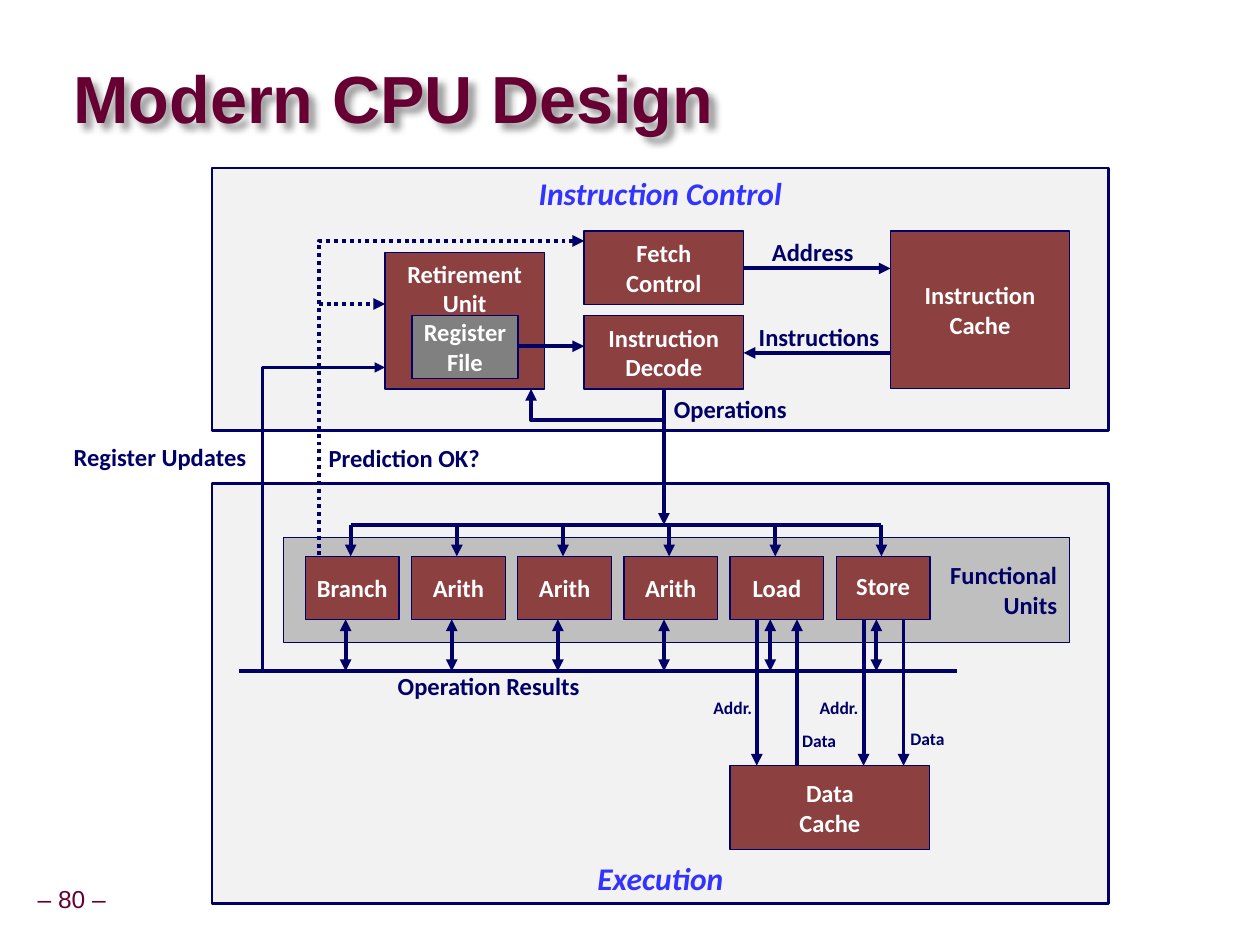
import pptx
import pptx.util
import pptx.dml.color
import pptx.enum.dml
import pptx.enum.shapes
import pptx.enum.text
import pptx.oxml
import pptx.oxml.ns
from lxml import etree

Pt = pptx.util.Pt
ALIGN = pptx.enum.text.PP_ALIGN
ANCHOR = pptx.enum.text.MSO_ANCHOR
RECT = pptx.enum.shapes.MSO_SHAPE.RECTANGLE
STRAIGHT = pptx.enum.shapes.MSO_CONNECTOR.STRAIGHT
DOTS = pptx.enum.dml.MSO_LINE.ROUND_DOT
A = pptx.oxml.ns.nsdecls("a")
COLORS = {
    "navy": "000066", "maroon": "660033", "brick": "8C4040", "blue": "3333FF",
    "panel": "F2F2F2", "silver": "BFBFBF", "gray": "808080", "white": "FFFFFF",
}


def color(name):
    return pptx.dml.color.RGBColor.from_string(COLORS[name])


class Diagram:
    """Draws styled elements on one slide; all lengths are in points."""

    def __init__(self, s):
        self.s = s

    def add_text(self, sp, text, size, ink, align=ALIGN.CENTER, anchor=ANCHOR.MIDDLE,
                 font="Calibri", bold=True, italic=False, spacing=None, inset=(7.2, 3.6)):
        tf = sp.text_frame
        tf.word_wrap = False
        tf.vertical_anchor = anchor
        tf.margin_left = tf.margin_right = Pt(inset[0])
        tf.margin_top = tf.margin_bottom = Pt(inset[1])
        for i, line in enumerate(text.split("\n")):
            p = tf.paragraphs[0] if i == 0 else tf.add_paragraph()
            p.alignment = align
            if spacing:
                p.line_spacing = spacing
            r = p.add_run()
            r.text = line
            r.font.name, r.font.size = font, Pt(size)
            r.font.bold, r.font.italic = bold, italic
            r.font.color.rgb = color(ink)

    def box(self, x, y, w, h, text, fill="brick", ink="white", size=14, width=0.75, **style):
        sp = self.s.shapes.add_shape(RECT, Pt(x), Pt(y), Pt(w), Pt(h))
        sp.shadow.inherit = False
        sp.fill.solid()
        sp.fill.fore_color.rgb = color(fill)
        self.stroke(sp, width)
        self.add_text(sp, text, size, ink, **style)

    def label(self, x, y, w, h, text, size=14, ink="navy", anchor=ANCHOR.TOP, **style):
        sp = self.s.shapes.add_textbox(Pt(x), Pt(y), Pt(w), Pt(h))
        self.add_text(sp, text, size, ink, anchor=anchor, **style)
        return sp

    def stroke(self, sp, width, head=False, tail=False, dotted=False):
        sp.line.color.rgb = color("navy")
        sp.line.width = Pt(width)
        if dotted:
            sp.line.dash_style = DOTS
        ln = sp._element.spPr.find(pptx.oxml.ns.qn("a:ln"))
        for end, wanted in (("headEnd", head), ("tailEnd", tail)):
            if wanted:
                ln.append(pptx.oxml.parse_xml(f'<a:{end} {A} type="triangle"/>'))

    def line(self, x1, y1, x2, y2, tail=True, **ends):
        sp = self.s.shapes.add_connector(STRAIGHT, Pt(x1), Pt(y1), Pt(x2), Pt(y2))
        self.stroke(sp, 2.25, tail=tail, **ends)
        etree.SubElement(sp._element.spPr, pptx.oxml.ns.qn("a:effectLst"))

    def elbow(self, points, width=2.25, **ends):
        pts = [(Pt(x), Pt(y)) for x, y in points]
        builder = self.s.shapes.build_freeform(*pts[0], scale=1.0)
        builder.add_line_segments(pts[1:], close=False)
        sp = builder.convert_to_shape()
        sp.shadow.inherit = False
        sp.fill.background()
        self.stroke(sp, width, **ends)

    def shade(self, sp):
        sp._element.spPr.append(pptx.oxml.parse_xml(
            f'<a:effectLst {A}><a:outerShdw blurRad="50800" dist="53900" dir="2700000">'
            '<a:srgbClr val="000000"><a:alpha val="40000"/></a:srgbClr>'
            '</a:outerShdw></a:effectLst>'))


def main():
    prs = pptx.Presentation()
    prs.slide_width, prs.slide_height = Pt(719.28), Pt(539.28)
    d = Diagram(prs.slides.add_slide(prs.slide_layouts[6]))

    # Title and page number
    title = d.label(41.8, 36, 460.8, 45.4, "Modern CPU Design", 38, "maroon", ANCHOR.MIDDLE,
                    align=ALIGN.LEFT, font="Arial", spacing=0.87, inset=(0, 0))
    d.shade(title)
    d.label(16.5, 502.5, 49, 23, "– 80 –", 14, "maroon", ANCHOR.MIDDLE,
            font="Arial", bold=False, spacing=0.9, inset=(3.6, 3.6))

    # Panels
    for y, h, name, anchor in ((275.8, 239.8, "Execution", ANCHOR.BOTTOM),
                               (95.8, 149.8, "Instruction Control", ANCHOR.TOP)):
        d.box(121, y, 512, h, name, "panel", "blue", 18, 1.5, anchor=anchor, italic=True)
    d.box(162, 306.7, 448.6, 59.8, "Functional\nUnits", "silver", "navy", align=ALIGN.RIGHT)

    # Instruction control blocks
    decode_x, cache_x, block_w = 333.5, 508.4, 91
    decode_right = decode_x + block_w
    d.box(cache_x, 131.8, 102.2, 90, "Instruction\nCache")
    d.box(decode_x, 131.8, block_w, 42, "Fetch\nControl")
    d.box(decode_x, 180, block_w, 42, "Instruction\nDecode")
    d.box(219.8, 144, block_w, 78, "Retirement\nUnit", anchor=ANCHOR.TOP)
    d.box(235.2, 180, 60.6, 36, "Register\nFile", "gray")

    # Functional units with operation and result arrows
    unit_x, pitch, unit_top, unit_bottom = 174.4, 60.6, 317.5, 353.5
    bus_y, results_y = 299.5, 383
    units = ["Branch", "Arith", "Arith", "Arith", "Load", "Store"]
    for i, unit in enumerate(units):
        x = unit_x + i * pitch
        d.box(x, unit_top, 53.5, 36, unit, spacing=0.9 if unit == "Store" else None)
        d.line(x + 25.8, bus_y, x + 25.8, unit_top)
        d.line(x + 22.9, unit_bottom, x + 22.9, results_y, head=True)
    d.line(unit_x + 25.8, bus_y, unit_x + 25.8 + 5 * pitch, bus_y, tail=False)
    d.line(136.6, results_y, 546.2, results_y, tail=False)

    # Data cache and its memory paths
    cache_top = 437
    d.box(416.8, cache_top, 114, 48, "Data\nCache")
    for x in (432, 493, 515.8):
        d.line(x, unit_bottom, x, cache_top)
    d.line(455, cache_top, 455, unit_bottom)

    # Paths between control blocks
    d.line(decode_right, 153.2, cache_x, 153.2)
    d.line(cache_x, 201.4, decode_right, 201.4)
    d.line(295.8, 197.6, decode_x, 197.6)
    d.line(379, 222, 379, bus_y)
    d.elbow([(379, 239.8), (303.2, 239.8), (303.2, 222)], tail=True)

    # Prediction and register update feedback
    d.elbow([(decode_x, 137.5), (182, 137.5), (182, unit_top)], head=True, dotted=True)
    d.line(182, 173.5, 219.8, 173.5, dotted=True)
    d.elbow([(219.8, 209.7), (149.8, 209.7), (149.8, results_y)], 1.5, head=True)

    # Path labels
    for x, y, w, text in ((432.7, 131.8, 62.6, "Address"), (425.5, 180, 84.2, "Instructions"),
                          (377.3, 221.2, 79.2, "Operations"),
                          (180, 249.3, 101.5, "Prediction OK?"),
                          (33.8, 248.6, 115.2, "Register Updates"),
                          (218.9, 379.6, 120.2, "Operation Results")):
        d.label(x, y, w, 24.5, text)
    for x, y, w, text in ((512.6, 411.8, 33.8, "Data"), (450.7, 413.3, 33.8, "Data"),
                          (398.9, 394, 38.9, "Addr."), (459.5, 394, 38.9, "Addr.")):
        d.label(x, y, w, 19.4, text, 10)

    prs.save("out.pptx")


if __name__ == "__main__":
    main()
